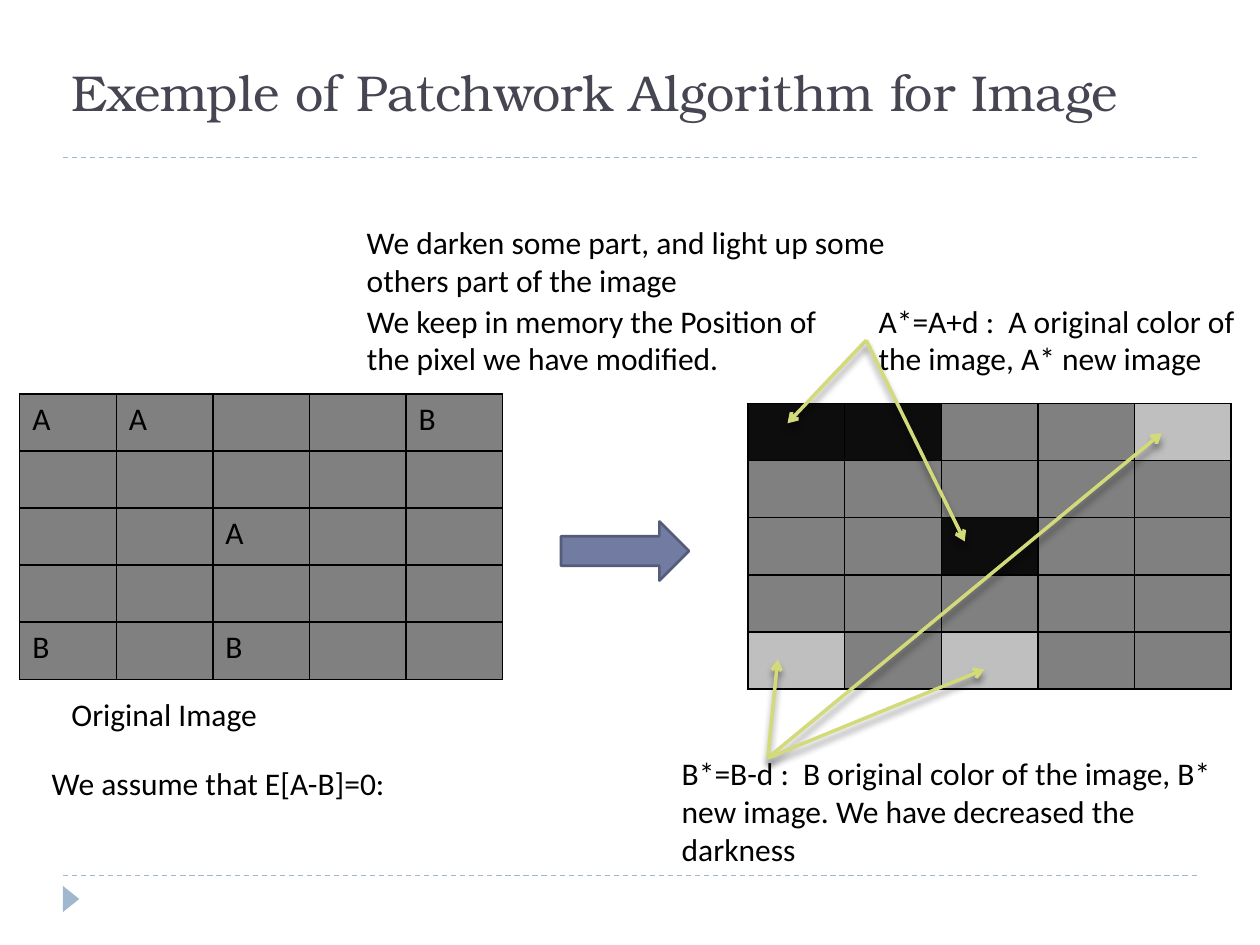
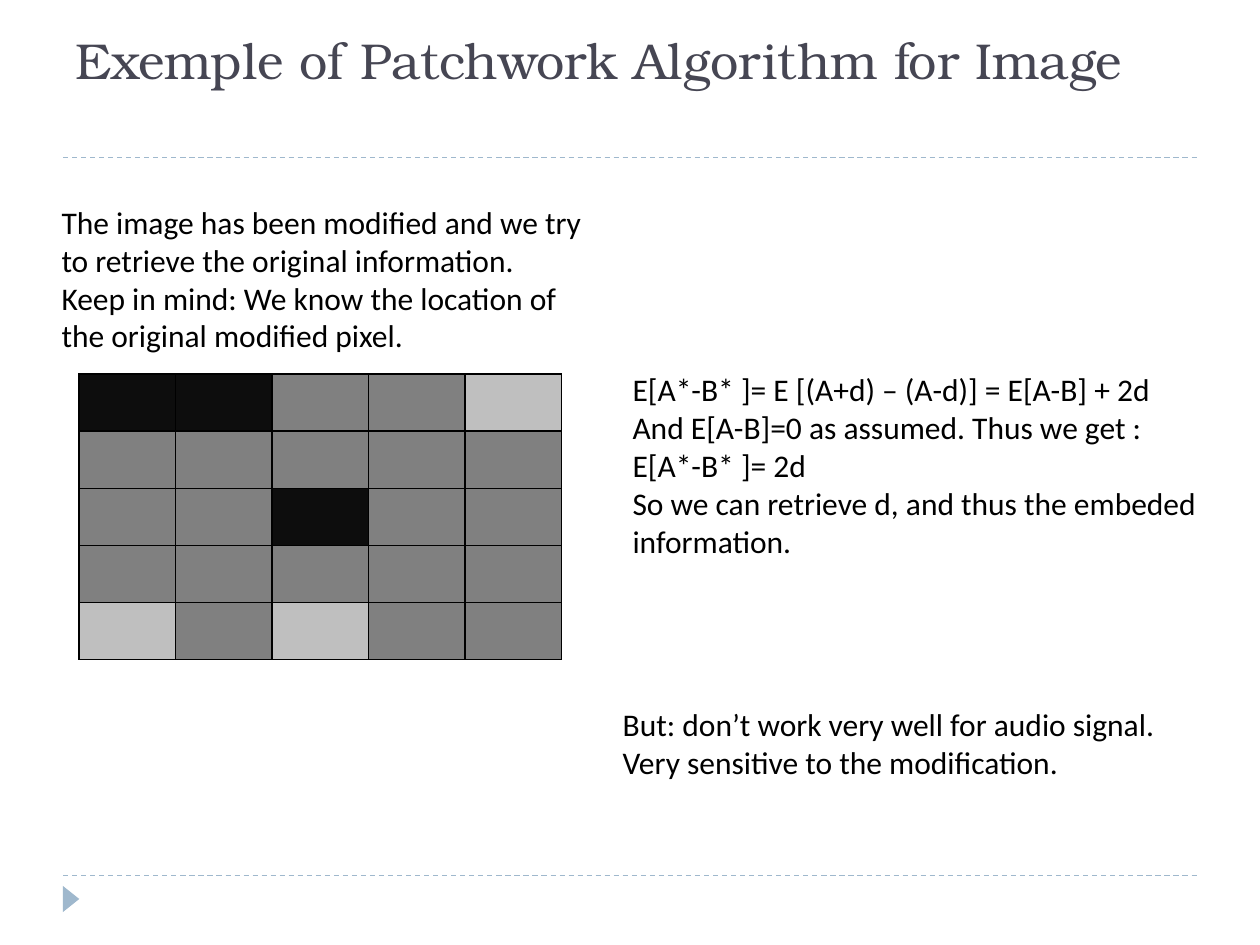
from lxml import etree
from pptx import Presentation
from pptx import util as u
from pptx.dml.color import RGBColor
from pptx.enum import dml, shapes, text
from pptx.oxml.ns import qn

Pt = u.Pt
COLORS = {
    "title": "464653", "body": "000000", "band": "9FB8CD",
    "arrow": "727CA3", "arrow_edge": "545C79", "pointer": "D2DA7A",
    "grey": "808080", "dark": "0D0D0D", "light": "BFBFBF", "border": "000000",
}
TITLE_FONT, BODY_FONT = "TeX Gyre Bonum", "Calibri"
TITLE = "Exemple of Patchwork Algorithm for Image"
CELL_WIDTH, CELL_HEIGHT = 55.2, 32.65

# Each character is one pixel of the sample image
ORIGINAL = ["AA..B", ".....", "..A..", ".....", "B.B.."]
SHADES = {".": "grey", "A": "dark", "B": "light"}


def color(name):
    return RGBColor.from_string(COLORS[name])


def add_xml(parent, tag, **attributes):
    return etree.SubElement(parent, qn(tag), attributes)


def add_text(slide, left, top, width, height, lines, font=BODY_FONT, size=18,
             ink="body", anchor=text.MSO_ANCHOR.TOP):
    """Wrapped text box with one paragraph per line."""
    box = slide.shapes.add_textbox(Pt(left), Pt(top), Pt(width), Pt(height))
    frame = box.text_frame
    frame.word_wrap = True
    frame.vertical_anchor = anchor
    frame.text = "\n".join(lines)
    for paragraph in frame.paragraphs:
        paragraph.font.name = font
        paragraph.font.size = Pt(size)
        paragraph.font.color.rgb = color(ink)


def add_line(slide, start, end, ink, width):
    line = slide.shapes.add_connector(
        shapes.MSO_CONNECTOR.STRAIGHT, *(Pt(value) for value in (*start, *end)))
    line.line.color.rgb = color(ink)
    line.line.width = Pt(width)
    effects = add_xml(line._element.spPr, "a:effectLst")
    return line, effects


def add_pointer(slide, start, end):
    """Arrow with an open head and a soft shadow below it."""
    line, effects = add_line(slide, start, end, "pointer", 2)
    add_xml(line.line._get_or_add_ln(), "a:tailEnd", type="arrow")
    shadow = add_xml(effects, "a:outerShdw", blurRad=str(Pt(4)), dist=str(Pt(3.4)),
                     dir="5400000", rotWithShape="0")
    shade = add_xml(shadow, "a:srgbClr", val="000000")
    add_xml(shade, "a:alpha", val="40000")


def add_preset(slide, preset, left, top, width, height, fill):
    shape = slide.shapes.add_shape(preset, Pt(left), Pt(top), Pt(width), Pt(height))
    shape.shadow.inherit = False
    shape.fill.solid()
    shape.fill.fore_color.rgb = color(fill)
    shape.line.fill.background()
    return shape


def add_borders(cell):
    properties = cell._tc.get_or_add_tcPr()
    for position, side in enumerate(("a:lnL", "a:lnR", "a:lnT", "a:lnB")):
        border = etree.Element(qn(side), w=str(Pt(1)))
        add_xml(add_xml(border, "a:solidFill"), "a:srgbClr", val=COLORS["border"])
        properties.insert(position, border)


def add_pixels(slide, left, top, modified):
    """Pixel grid: lettered when untouched, shaded when modified."""
    rows, columns = len(ORIGINAL), len(ORIGINAL[0])
    table = slide.shapes.add_table(
        rows, columns, Pt(left), Pt(top),
        Pt(columns * CELL_WIDTH), Pt(rows * CELL_HEIGHT)).table
    table.first_row = table.horz_banding = False
    for column in table.columns:
        column.width = Pt(CELL_WIDTH)
    for row, marks in zip(table.rows, ORIGINAL):
        row.height = Pt(CELL_HEIGHT)
        for cell, mark in zip(row.cells, marks):
            cell.fill.solid()
            cell.fill.fore_color.rgb = color(SHADES[mark] if modified else "grey")
            add_borders(cell)
            if mark != "." and not modified:
                cell.text = mark
                paragraph = cell.text_frame.paragraphs[0]
                paragraph.font.name = BODY_FONT
                paragraph.font.size = Pt(18)
                paragraph.font.color.rgb = color("body")


def add_frame(presentation, left, top, height, anchor):
    """New slide with dashed bands, corner marker and title."""
    slide = presentation.slides.add_slide(presentation.slide_layouts[6])
    for y in (500.4, 90):
        band, _ = add_line(slide, (36, y), (684, y), "band", 0.75)
        band.line.dash_style = dml.MSO_LINE.DASH
    marker = add_preset(slide, shapes.MSO_SHAPE.ISOSCELES_TRIANGLE,
                        33.1, 509, 15, 9.4, "band")
    marker.rotation = 90
    add_text(slide, left, top, 648, height, [TITLE], TITLE_FONT, 28.8, "title", anchor)
    return slide


def build_embedding(presentation):
    slide = add_frame(presentation, 33.75, 22.5, 50.4, text.MSO_ANCHOR.BOTTOM)

    # Image before and after
    add_pixels(slide, 11.25, 225, modified=False)
    add_text(slide, 33.75, 393.75, 208, 29, ["Original Image"])
    arrow = add_preset(slide, shapes.MSO_SHAPE.RIGHT_ARROW,
                       320.6, 298, 73.1, 33.8, "arrow")
    arrow.line.color.rgb = color("arrow_edge")
    arrow.line.width = Pt(1.5)
    add_pixels(slide, 427.5, 230.6, modified=True)

    # Explanations
    add_text(slide, 202.5, 123.75, 320.6, 51,
             ["We darken some part, and light up some others part of the image"])
    add_text(slide, 202.5, 168.75, 286.9, 51,
             ["We keep in memory the Position of the pixel we have modified."])
    add_text(slide, 495, 168.75, 241.9, 51,
             ["A*=A+d :  A original color of the image, A* new image"])
    add_text(slide, 382.5, 427.5, 337.5, 51,
             ["B*=B-d :  B original color of the image, B* new image. "
              "We have decreased the darkness"])

    # Pointers from each formula to its pixels
    pointers = {
        (495, 194.4): [(450, 241.9), (551.3, 309.4)],
        (438.8, 433.1): [(444.4, 376.9), (663.8, 247.5), (562.5, 382.5)],
    }
    for start, ends in pointers.items():
        for end in ends:
            add_pointer(slide, start, end)
    add_text(slide, 22.5, 433.1, 241.9, 29, ["We assume that E[A-B]=0:"])


def build_retrieval(presentation):
    slide = add_frame(presentation, 36, 12.8, 77.2, text.MSO_ANCHOR.TOP)
    add_pixels(slide, 45, 213.75, modified=True)
    add_text(slide, 28.1, 112.5, 320.6, 94.5, [
        "The image has been modified and we try to retrieve the original information.",
        "Keep in mind: We know the location of the original modified pixel."])
    add_text(slide, 354.4, 208.1, 337.5, 160, [
        "E[A*-B* ]= E [(A+d) – (A-d)] = E[A-B] + 2d",
        "And E[A-B]=0 as assumed. Thus we get :",
        "E[A*-B* ]= 2d",
        "So we can retrieve d, and thus the embeded information."])
    add_text(slide, 348.75, 399.4, 348.75, 51, [
        "But: don’t work very well for audio signal.  Very sensitive to the modification."])


presentation = Presentation()
presentation.slide_width, presentation.slide_height = Pt(720), Pt(540)
build_embedding(presentation)
build_retrieval(presentation)
presentation.save("out.pptx")
